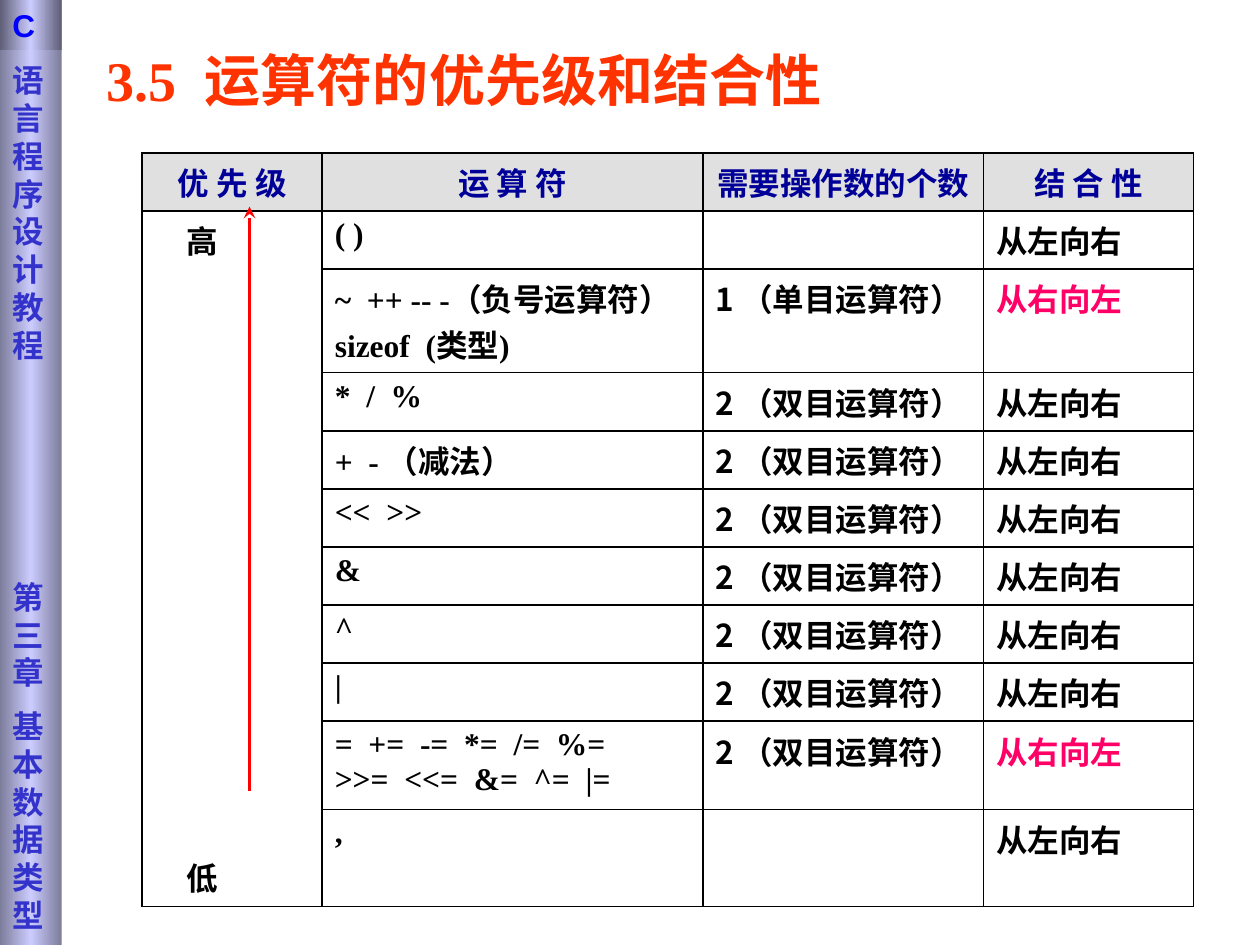
"""Build a slide on the priority and binding order of C operators."""
from copy import deepcopy
from typing import Any, NamedTuple

from lxml.etree import SubElement as Sub
from pptx import Presentation
from pptx.dml.color import RGBColor as RGB
from pptx.enum.shapes import MSO_CONNECTOR as Link, MSO_SHAPE as Form
from pptx.enum.text import MSO_ANCHOR as Anchor, PP_ALIGN as Align
from pptx.oxml.ns import qn
from pptx.util import Pt

ORANGE = RGB(0xFF, 0x33, 0x00)
NAVY = RGB(0x00, 0x00, 0x99)
BLACK = RGB(0x00, 0x00, 0x00)
WHITE = RGB(0xFF, 0xFF, 0xFF)
GREY = RGB(0xE0, 0xE0, 0xE0)
PINK = RGB(0xFF, 0x00, 0x66)
RED = RGB(0xFF, 0x00, 0x00)
BLUE = RGB(0x00, 0x00, 0xFF)
VIOLET = RGB(0x33, 0x33, 0xCC)
LILAC = RGB(0xCC, 0xCC, 0xFF)
SLATE = RGB(0x7C, 0x7C, 0x9B)
DUSK = RGB(0x5E, 0x5E, 0x76)

SERIF = "Times New Roman"
SANS = "Noto Sans CJK SC"
LEFT, RIGHT = "从左向右", "从右向左"
ONE, TWO = "1 （单目运算符）", "2 （双目运算符）"
HEADS = ("优 先 级", "运 算 符", "需要操作数的个数", "结 合 性")
COLS = (102.9, 217.6, 160.3, 120)
LINE = 33.2


class Row(NamedTuple):
    """One level of operators."""
    signs: str
    count: str = TWO
    order: str = LEFT
    high: float = LINE


class Panel(NamedTuple):
    """One shaded block of the side bar."""
    high: float
    edge: RGB
    text: str
    font: str
    color: RGB
    top: float
    gaps: tuple[float, ...]


ROWS = (
    Row("( )", ""),
    Row("~  ++ -- -（负号运算符）  sizeof  (类型)", ONE, RIGHT, 59.3),
    Row("*  /  %"),
    Row("+  - （减法）"),
    Row("<<  >>"),
    Row("&"),
    Row("^"),
    Row("|"),
    Row("=  +=  -=  *=  /=  %=\n>>=  <<=  &=  ^=  |=", TWO, RIGHT, 50.3),
    Row(",", "", LEFT, 55.4),
)
PANELS = (
    Panel(540, SLATE, "语言程序设计教程\n第三章\n基本数据类型",
          "DejaVu Sans", VIOLET, 35, (0, 122.4, 9)),
    Panel(28.8, DUSK, "C", "Arial", BLUE, 3.6, (0,)),
)


def write(frame: Any, text: str, *, font: str = SANS, size: float = 18,
          color: RGB = BLACK, align: Align = Align.LEFT,
          gaps: tuple[float, ...] = (), lead: float = 0,
          dent: float = 0) -> None:
    """Fill a text frame, one paragraph for each line of text."""
    frame.word_wrap = True
    frame.text = text
    for i, para in enumerate(frame.paragraphs):
        para.alignment = align
        if gaps:
            para.space_before = Pt(gaps[i])
        if lead:
            para.line_spacing = Pt(lead)
        if dent:
            para._p.get_or_add_pPr().set("indent", str(Pt(dent)))
        for run in para.runs:
            face = run.font
            face.name, face.size, face.bold = font, Pt(size), True
            face.color.rgb = color
            Sub(face._element, qn("a:ea"), typeface=SANS)


def shade(shape: Any, edge: RGB) -> None:
    """Blend a shape from edge to lilac and back, left to right."""
    fill = shape.fill
    fill.gradient()
    fill.gradient_angle = 0
    stops = shape._element.spPr.find(".//" + qn("a:gsLst"))
    stops.append(deepcopy(stops[0]))
    for stop, tint, pos in zip(fill.gradient_stops, (edge, LILAC, edge),
                               (0, 0.5, 1)):
        stop.color.rgb, stop.position = tint, pos


def add_panel(group: Any, panel: Panel) -> None:
    """Add one side bar block with its text."""
    shape = group.shapes.add_shape(Form.RECTANGLE, 0, 0, Pt(35.2),
                                   Pt(panel.high))
    shape.shadow.inherit = False
    shape.line.fill.background()
    shade(shape, panel.edge)
    frame = shape.text_frame
    frame.vertical_anchor = Anchor.TOP
    frame.margin_top = Pt(panel.top)
    write(frame, panel.text, font=panel.font, color=panel.color,
          gaps=panel.gaps, lead=21.6)


def dress(cell: Any, fill: RGB) -> None:
    """Give a cell its fill and thin black borders."""
    props = cell._tc.get_or_add_tcPr()
    for side in ("lnL", "lnR", "lnT", "lnB"):
        edge = Sub(props, qn("a:" + side), w=str(Pt(1)))
        Sub(Sub(edge, qn("a:solidFill")), qn("a:srgbClr"), val=str(BLACK))
    cell.fill.solid()
    cell.fill.fore_color.rgb = fill


def add_grid(slide: Any) -> None:
    """Add the table of operators."""
    highs = (LINE, *(row.high for row in ROWS))
    table = slide.shapes.add_table(len(highs), len(COLS), Pt(81.2), Pt(87.3),
                                   Pt(sum(COLS)), Pt(sum(highs))).table
    table.first_row = table.horz_banding = False
    for col, wide in zip(table.columns, COLS):
        col.width = Pt(wide)
    for i, high in enumerate(highs):
        table.rows[i].height = Pt(high)
        for cell in table.rows[i].cells:
            dress(cell, WHITE if i else GREY)
    for i, head in enumerate(HEADS):
        write(table.cell(0, i).text_frame, head, color=NAVY,
              align=Align.CENTER)
    span = table.cell(1, 0)
    span.merge(table.cell(len(ROWS), 0))
    write(span.text_frame, "高\n低", gaps=(0, 338), dent=18)
    for i, row in enumerate(ROWS, 1):
        write(table.cell(i, 1).text_frame, row.signs, font=SERIF)
        write(table.cell(i, 2).text_frame, row.count)
        write(table.cell(i, 3).text_frame, row.order,
              color=PINK if row.order == RIGHT else BLACK)


def add_arrow(slide: Any, x: float, foot: float, tip: float) -> None:
    """Add the red arrow that points to high priority."""
    arrow = slide.shapes.add_connector(Link.STRAIGHT, Pt(x), Pt(foot),
                                       Pt(x), Pt(tip))
    arrow.line.color.rgb = RED
    arrow.line.width = Pt(2.25)
    Sub(arrow.line._get_or_add_ln(), qn("a:tailEnd"), type="stealth")
    Sub(arrow._element.spPr, qn("a:effectLst"))


def main() -> None:
    """Build and save the slide."""
    deck = Presentation()
    deck.slide_width, deck.slide_height = Pt(720), Pt(540)
    slide = deck.slides.add_slide(deck.slide_layouts[6])
    title = slide.shapes.add_textbox(Pt(54), Pt(26), Pt(476), Pt(51))
    title.text_frame.margin_top = 0
    write(title.text_frame, "3.5  运算符的优先级和结合性", font=SERIF,
          size=32, color=ORANGE, align=Align.JUSTIFY)
    add_grid(slide)
    add_arrow(slide, 142.6, 452.2, 118.1)
    bar = slide.shapes.add_group_shape()
    for panel in PANELS:
        add_panel(bar, panel)
    deck.save("out.pptx")


if __name__ == "__main__":
    main()
